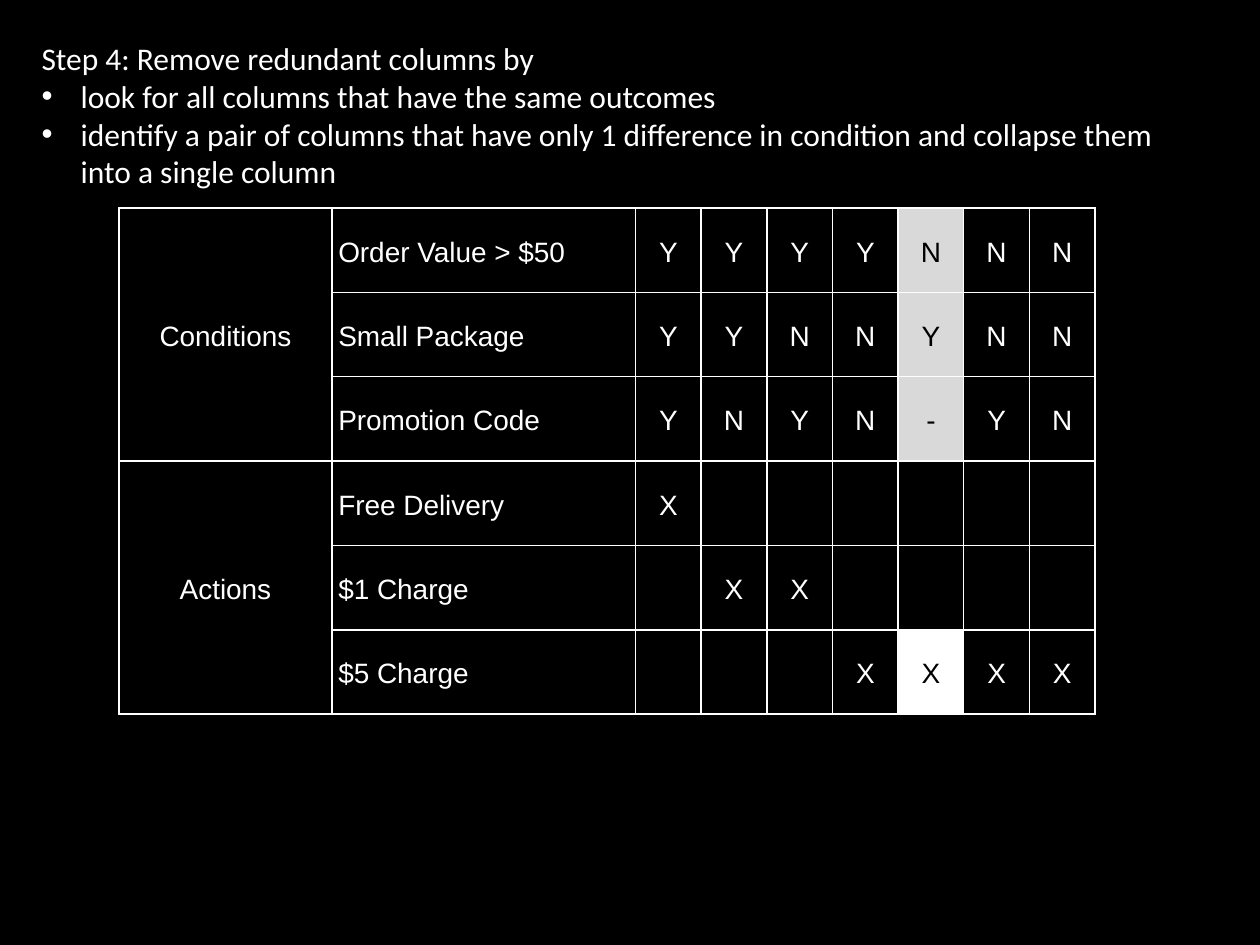
from lxml.etree import SubElement
from pptx import Presentation
from pptx.dml.color import RGBColor
from pptx.enum.text import MSO_ANCHOR as Anchor, MSO_AUTO_SIZE as AutoSize, PP_ALIGN as Align
from pptx.oxml import parse_xml
from pptx.oxml.ns import nsdecls, qn
from pptx.util import Inches, Pt

BLACK = RGBColor(0x00, 0x00, 0x00)
WHITE = RGBColor(0xFF, 0xFF, 0xFF)
GREY = RGBColor(0xD9, 0xD9, 0xD9)

HEADING = "Step 4: Remove redundant columns by"
STEPS = [
    "look for all columns that have the same outcomes",
    "identify a pair of columns that have only 1 difference in condition "
    "and collapse them into a single column",
]
GROUPS = {
    "Conditions": [
        ("Order Value > $50", "YYYYNNN"),
        ("Small Package", "YYNNYNN"),
        ("Promotion Code", "YNYN-YN"),
    ],
    "Actions": [
        ("Free Delivery", "X      "),
        ("$1 Charge", " XX    "),
        ("$5 Charge", "   XXXX"),
    ],
}
COLLAPSED_RULE = 4
HIGHLIGHTS = {"Y": GREY, "N": GREY, "-": GREY, "X": WHITE}


class DecisionSlide:
    """Black slide on a grid of 100 columns by 75 rows, with its text and table style."""

    def __init__(self, deck):
        self.column = deck.slide_width / 100
        self.row = deck.slide_height / 75
        self.page = deck.slides.add_slide(deck.slide_layouts[1])
        self.page.background.fill.solid()
        self.page.background.fill.fore_color.rgb = BLACK
        title = self.page.shapes.title.element
        title.getparent().remove(title)

    def across(self, columns):
        return round(columns * self.column)

    def down(self, rows):
        return round(rows * self.row)

    def place(self, left, top, width, height):
        return self.across(left), self.down(top), self.across(width), self.down(height)

    def add_span(self, para, text, size, font, color):
        span = para.add_run()
        span.text = text
        span.font.size = Pt(size)
        span.font.name = font
        span.font.color.rgb = color

    def steps(self, heading, items, *area):
        box = self.page.placeholders[1]
        box.left, box.top, box.width, box.height = self.place(*area)
        frame = box.text_frame
        frame.word_wrap = True
        frame.auto_size = AutoSize.SHAPE_TO_FIT_TEXT
        for index, text in enumerate([heading, *items]):
            para = frame.add_paragraph() if index else frame.paragraphs[0]
            para.space_before = Pt(0)
            indent = self.across(3.1) if index else 0
            props = para._p.get_or_add_pPr()
            props.set("marL", str(indent))
            props.set("indent", str(-indent))
            if index:
                SubElement(props, qn("a:buFont"), typeface="Arial")
                SubElement(props, qn("a:buChar"), char="•")
            else:
                SubElement(props, qn("a:buNone"))
            self.add_span(para, text, 18, "Calibri", WHITE)

    def cell(self, cell, text="", align=Align.CENTER, fill=None):
        cell.vertical_anchor = Anchor.MIDDLE
        cell.margin_left = cell.margin_right = Inches(0.05)
        cell.margin_top = cell.margin_bottom = Inches(0.05)
        if fill is None:
            cell.fill.background()
        else:
            cell.fill.solid()
            cell.fill.fore_color.rgb = fill
        self.border(cell)
        if text:
            para = cell.text_frame.paragraphs[0]
            para.alignment = align
            para.line_spacing = 1.15
            self.add_span(para, text, 16, "Arial", BLACK if fill else WHITE)

    def border(self, cell):
        props = cell._tc.get_or_add_tcPr()
        for place, side in enumerate("LRTB"):
            props.insert(place, parse_xml(
                f'<a:ln{side} {nsdecls("a")} w="{Pt(1)}"><a:solidFill>'
                f'<a:srgbClr val="{WHITE}"/></a:solidFill></a:ln{side}>'))

    def decision_table(self, groups, widths, *area):
        count = sum(len(rows) for rows in groups.values())
        table = self.page.shapes.add_table(count, len(widths), *self.place(*area)).table
        table.first_row = table.horz_banding = False
        for column, width in zip(table.columns, widths):
            column.width = self.across(width)
        start = 0
        for group, rows in groups.items():
            for offset, (label, marks) in enumerate(rows):
                row = start + offset
                self.cell(table.cell(row, 0), "" if offset else group)
                self.cell(table.cell(row, 1), label, Align.LEFT)
                for rule, mark in enumerate(marks):
                    fill = HIGHLIGHTS.get(mark) if rule == COLLAPSED_RULE else None
                    self.cell(table.cell(row, rule + 2), mark.strip(), fill=fill)
            table.cell(start, 0).merge(table.cell(start + len(rows) - 1, 0))
            start += len(rows)


def main():
    deck = Presentation()
    deck.slide_width, deck.slide_height = Inches(10), Inches(7.5)
    slide = DecisionSlide(deck)
    slide.decision_table(GROUPS, [16.9, 24.1] + [5.21] * 7, 9.45, 16.5, 77.5, 40.2)
    slide.steps(HEADING, STEPS, 2.3, 2.6, 93.2, 13.1)
    deck.save("out.pptx")


if __name__ == "__main__":
    main()
